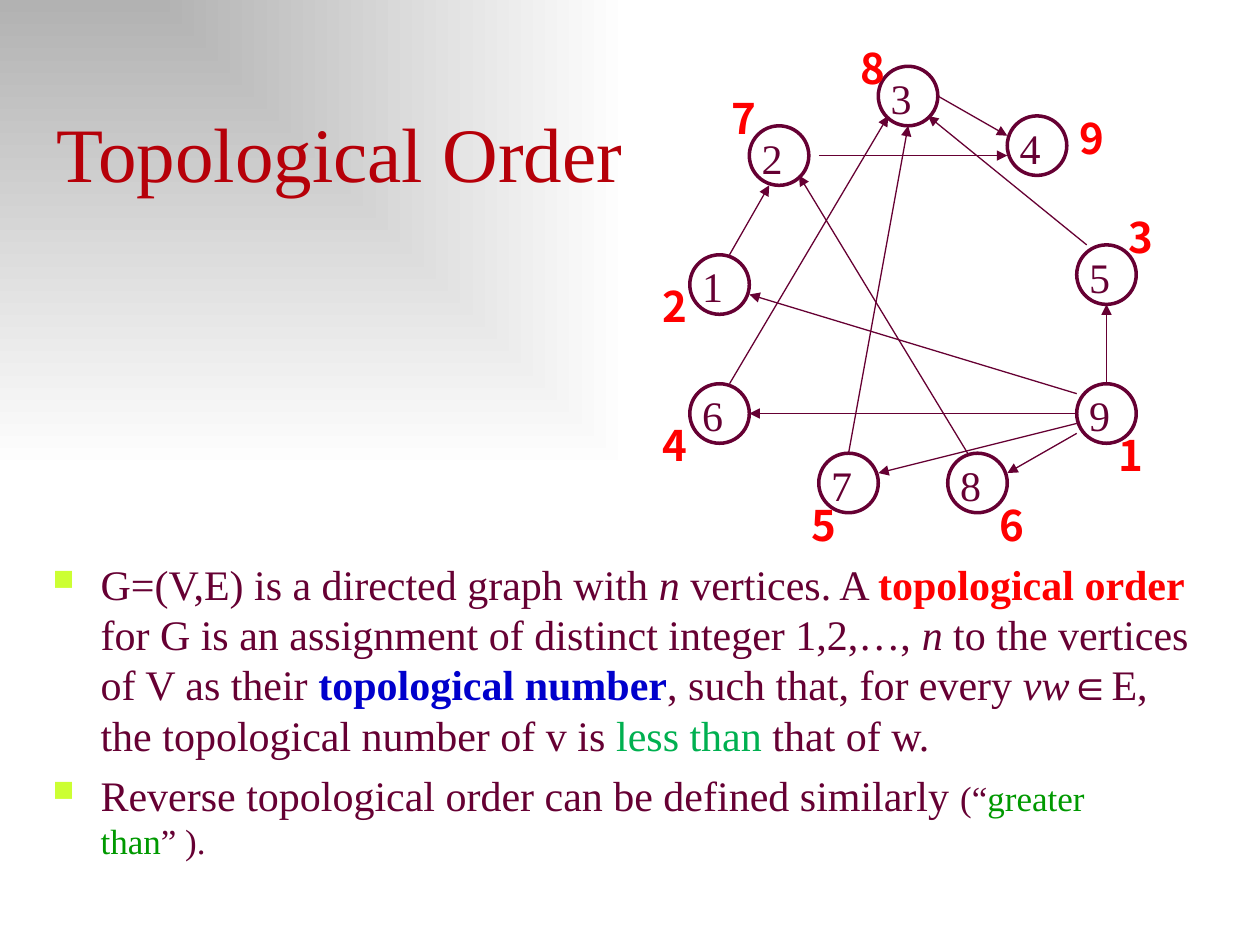
from lxml import etree
from pptx import Presentation
from pptx.dml.color import RGBColor
from pptx.enum.shapes import MSO_CONNECTOR, MSO_SHAPE
from pptx.enum.text import MSO_ANCHOR, PP_ALIGN
from pptx.oxml.ns import qn
from pptx.util import Inches, Pt

ELLIPSE = MSO_SHAPE.OVAL
STRAIGHT = MSO_CONNECTOR.STRAIGHT
LEFT = PP_ALIGN.LEFT
TOP, BOTTOM = MSO_ANCHOR.TOP, MSO_ANCHOR.BOTTOM

WIDTH, HEIGHT = Inches(10), Inches(7.5)
CELL = WIDTH / 127
NODE_CELLS = 6
SERIF, SANS = "Times New Roman", "Noto Sans CJK SC"
COLORS = {
    "ink": "660033", "title": "B60009", "red": "FF0000", "blue": "0000CC",
    "green": "00B050", "dark_green": "009900", "bullet": "CCFF33",
    "shade": "B2B2B2", "white": "FFFFFF",
}

# vertex: (column, row) of its circle, (column, row) of its order, order
VERTICES = {
    3: ((23, 3), (20, 0), 8),
    2: ((10, 9), (7, 5), 7),
    4: ((36, 8), (42, 7), 9),
    1: ((4, 22), (0, 24), 2),
    6: ((4, 35), (0, 38), 4),
    7: ((17, 42), (15, 46), 5),
    8: ((30, 42), (34, 46), 6),
    5: ((43, 21), (47, 17), 3),
    9: ((43, 35), (46, 39), 1),
}
EDGES = [
    ((29, 6), (36, 10)), ((8, 22), (12, 15)), ((17, 12), (36, 12)),
    ((8, 35), (24, 8)), ((43, 40), (36, 44)), ((43, 39), (23, 44)),
    ((43, 38), (10, 38)), ((43, 36), (10, 26)), ((46, 35), (46, 27)),
    ((44, 21), (28, 8)), ((20, 42), (26, 9)), ((32, 42), (15, 14)),
]
# text, colour, size, bold, italic
PARAGRAPHS = [
    [
        ("G=(V,E) is a directed graph with ", "ink", 24, False, False),
        ("n", "ink", 24, False, True),
        (" vertices. A ", "ink", 24, False, False),
        ("topological order", "red", 24, True, False),
        (" for G is an assignment of distinct integer 1,2,…, ", "ink", 24, False, False),
        ("n", "ink", 24, False, True),
        (" to the vertices of V as their ", "ink", 24, False, False),
        ("topological number", "blue", 24, True, False),
        (", such that, for every ", "ink", 24, False, False),
        ("vw", "ink", 24, False, True),
        ("∈E, the topological number of v is ", "ink", 24, False, False),
        ("less than ", "green", 24, False, False),
        ("that of w.", "ink", 24, False, False),
    ],
    [
        ("Reverse topological order can be defined similarly ", "ink", 24, False, False),
        ("(“", "ink", 20, False, False),
        ("greater than", "dark_green", 20, False, False),
        ("” ).", "ink", 20, False, False),
    ],
]


def rgb(name):
    """Return the named colour."""
    return RGBColor.from_string(COLORS[name])


def style_font(font, name, size, color, bold=False, italic=False):
    """Set the face, size, colour and weight of a font."""
    font.name, font.size = name, Pt(size)
    font.bold, font.italic = bold, italic
    font.color.rgb = rgb(color)


def shade_background(slide):
    """Fade the slide from its top left corner to white."""
    fill = slide.background.fill
    fill.gradient()
    for stop, color in zip(fill.gradient_stops, ("shade", "white")):
        stop.color.rgb = rgb(color)
    gradient = slide.element.find(".//" + qn("a:gradFill"))
    gradient.remove(gradient.find(qn("a:lin")))
    focus = etree.SubElement(gradient, qn("a:path"), {"path": "rect"})
    etree.SubElement(focus, qn("a:fillToRect"), {"r": "100000", "b": "100000"})


def place_title(slide, left, top, width, height):
    """Place the slide's title in the given box."""
    title = slide.shapes.title
    title.left, title.top, title.width, title.height = left, top, width, height
    frame = title.text_frame
    frame.text = "Topological Order"
    frame.vertical_anchor = BOTTOM
    paragraph = frame.paragraphs[0]
    paragraph.alignment = LEFT
    style_font(paragraph.font, SERIF, 44, "title")


def add_bullet(paragraph):
    """Give a paragraph a hanging square bullet."""
    properties = paragraph._p.get_or_add_pPr()
    indent = Inches(0.38)
    properties.set("marL", str(indent))
    properties.set("indent", str(-indent))
    color = etree.SubElement(properties, qn("a:buClr"))
    etree.SubElement(color, qn("a:srgbClr"), {"val": COLORS["bullet"]})
    etree.SubElement(properties, qn("a:buSzPct"), {"val": "70000"})
    etree.SubElement(properties, qn("a:buChar"), {"char": "■"})


def add_definition(slide, left, top, width, height):
    """Write the bulleted definition in the given box."""
    frame = slide.shapes.add_textbox(left, top, width, height).text_frame
    frame.word_wrap = True
    for index, runs in enumerate(PARAGRAPHS):
        paragraph = frame.add_paragraph() if index else frame.paragraphs[0]
        paragraph.space_before = Pt(5.5)
        add_bullet(paragraph)
        for text, color, size, bold, italic in runs:
            run = paragraph.add_run()
            run.text = text
            style_font(run.font, SERIF, size, color, bold, italic)


def add_number(shapes, left, top, columns, number, face, color, bold=False):
    """Write one number in a box some columns wide."""
    box = shapes.add_textbox(left, top, round(columns * CELL), Inches(0.5))
    frame = box.text_frame
    frame.word_wrap = True
    frame.vertical_anchor = TOP
    paragraph = frame.paragraphs[0]
    paragraph.text = str(number)
    style_font(paragraph.font, face, 24, color, bold)


def add_vertex(slide, left, top, number):
    """Group a circle with its vertex number."""
    shapes = slide.shapes.add_group_shape().shapes
    side = round(NODE_CELLS * CELL)
    circle = shapes.add_shape(ELLIPSE, left, top, side, side)
    circle.shadow.inherit = False
    circle.fill.background()
    circle.line.color.rgb = rgb("ink")
    circle.line.width = Pt(2)
    add_number(shapes, left, top, 5, number, SERIF, "ink")


def add_edge(slide, start, end):
    """Draw an arrow between two points."""
    edge = slide.shapes.add_connector(STRAIGHT, *start, *end)
    edge.line.color.rgb = rgb("ink")
    edge.line.width = Pt(0.75)
    etree.SubElement(edge.line._get_or_add_ln(), qn("a:tailEnd"), {"type": "triangle"})
    etree.SubElement(edge._element.spPr, qn("a:effectLst"))


def add_graph(slide, left, top):
    """Draw the graph on a grid of cells from the given corner."""
    def point(cell):
        """Turn a column and row into a position."""
        return round(left + cell[0] * CELL), round(top + cell[1] * CELL)

    for vertex, (cell, _, _) in VERTICES.items():
        add_vertex(slide, *point(cell), vertex)
    for start, end in EDGES:
        add_edge(slide, point(start), point(end))
    for _, cell, order in VERTICES.values():
        add_number(slide.shapes, *point(cell), 7, order, SANS, "red", True)


def main():
    """Build and save the slide."""
    presentation = Presentation()
    presentation.slide_width, presentation.slide_height = WIDTH, HEIGHT
    slide = presentation.slides.add_slide(presentation.slide_layouts[5])
    shade_background(slide)
    place_title(slide, Inches(0.35), Inches(0.79), Inches(9.45), Inches(0.83))
    add_definition(slide, Inches(0.32), Inches(4.38), Inches(9.29), Inches(2.84))
    add_graph(slide, Inches(5.16), Inches(0.29))
    presentation.save("out.pptx")


if __name__ == "__main__":
    main()
